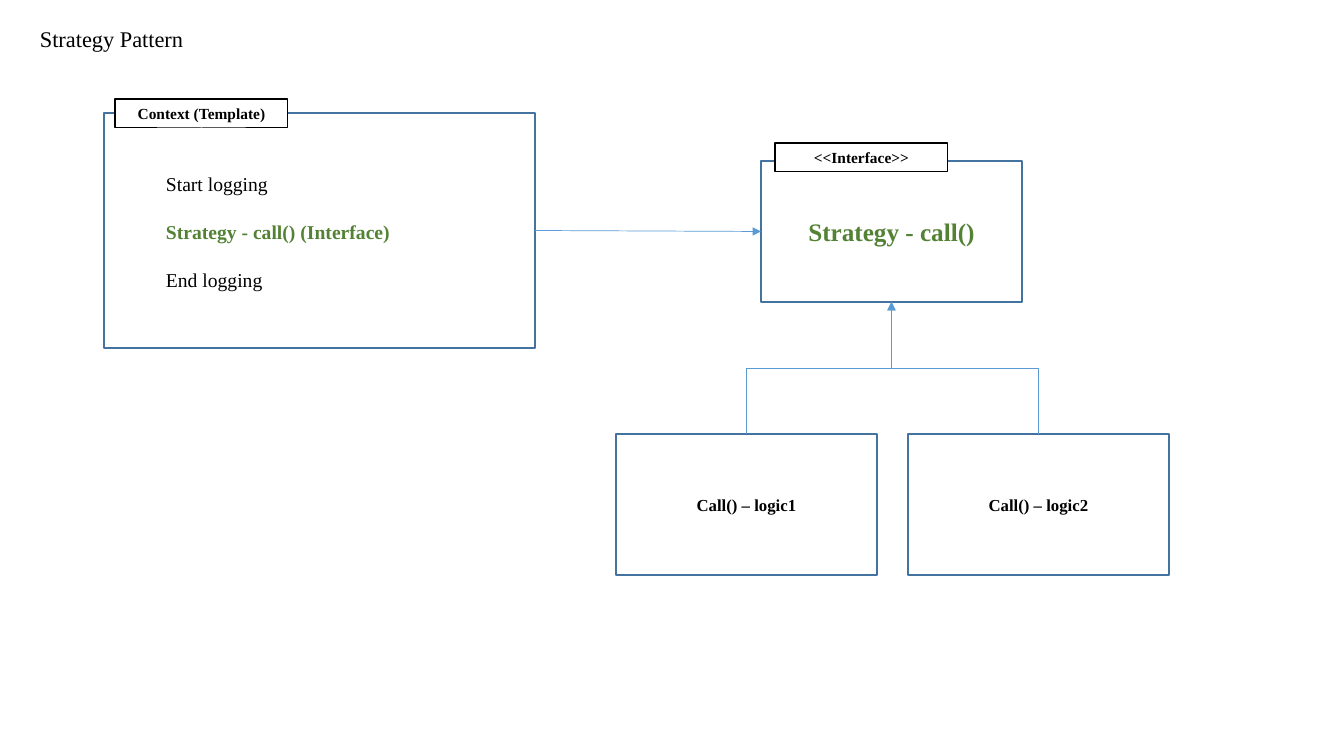
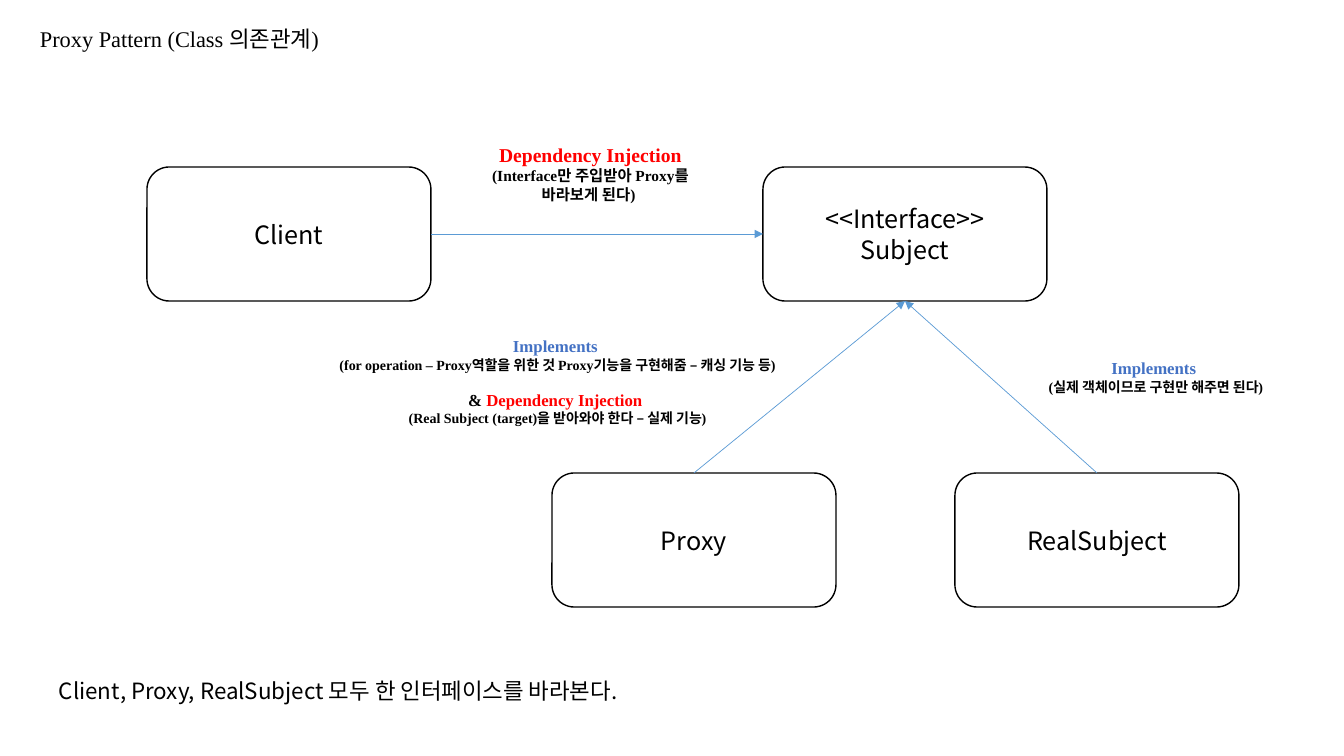
from lxml import etree
from pptx import Presentation
from pptx.dml.color import RGBColor
from pptx.enum.shapes import MSO_CONNECTOR as CONN, MSO_SHAPE as SHAPE
from pptx.enum.text import MSO_ANCHOR as ANCHOR, PP_ALIGN as ALIGN
from pptx.oxml.ns import qn
from pptx.util import Pt

EMU_PER_PX = 12192000 / 1344

BLACK = RGBColor(0x00, 0x00, 0x00)
WHITE = RGBColor(0xFF, 0xFF, 0xFF)
RED = RGBColor(0xFF, 0x00, 0x00)
GREEN = RGBColor(0x54, 0x82, 0x35)
BLUE = RGBColor(0x44, 0x72, 0xC4)
FRAME = RGBColor(0x43, 0x73, 0x9E)
ARROW = RGBColor(0x5B, 0x9B, 0xD5)

SERIF = "Times New Roman"
SANS = "Noto Sans CJK KR"

TOP, LEFT, BOTTOM, RIGHT = range(4)


def px(n):
    return round(n * EMU_PER_PX)


# Text: a paragraph is a list of runs, a run is (text, size, colour, bold)
def write(tf, paragraphs, font=SERIF, align=ALIGN.CENTER, gaps=None):
    """Fill a text frame; gaps maps a paragraph index to its space before."""
    tf.word_wrap = True
    for i, runs in enumerate(paragraphs):
        p = tf.add_paragraph() if i else tf.paragraphs[0]
        p.alignment = align
        if gaps and i in gaps:
            p.space_before = Pt(gaps[i])
        for text, size, color, bold in runs:
            r = p.add_run()
            r.text = text
            r.font.name, r.font.size = font, Pt(size)
            r.font.color.rgb, r.font.bold = color, bold
            etree.SubElement(r.font._element, qn("a:ea"), typeface=SANS)


def text_box(s, box, paragraphs, **style):
    sp = s.shapes.add_textbox(*map(px, box))
    write(sp.text_frame, paragraphs, **style)
    return sp


def outline(s, kind, box, color, width=1, fill=None):
    sp = s.shapes.add_shape(kind, *map(px, box))
    sp.shadow.inherit = False
    if fill is None:
        sp.fill.background()
    else:
        sp.fill.solid()
        sp.fill.fore_color.rgb = fill
    sp.line.color.rgb, sp.line.width = color, Pt(width)
    return sp


# Arrows
def style_arrow(c):
    c.line.color.rgb, c.line.width = ARROW, Pt(0.5)
    etree.SubElement(c.line._get_or_add_ln(), qn("a:tailEnd"), type="triangle")
    etree.SubElement(c._element.spPr, qn("a:effectLst"))


def arrow(s, start, start_side, end, end_side):
    c = s.shapes.add_connector(CONN.STRAIGHT, 0, 0, 0, 0)
    c.begin_connect(start, start_side)
    c.end_connect(end, end_side)
    style_arrow(c)


def elbow_up(s, lower, upper):
    """Bent arrow from the top of one box to the bottom of another."""
    x0, y0 = lower.left + lower.width // 2, lower.top
    x1, y1 = upper.left + upper.width // 2, upper.top + upper.height
    cx, cy, run, rise = (x0 + x1) // 2, (y0 + y1) // 2, x1 - x0, y0 - y1
    c = s.shapes.add_connector(CONN.ELBOW, cx - rise // 2, cy - run // 2,
                               cx + rise // 2, cy + run // 2)
    c._element.spPr.find(qn("a:xfrm")).set("rot", "16200000")
    style_arrow(c)


# Parts of the slides
def new_slide(prs, title):
    s = prs.slides.add_slide(prs.slide_layouts[6])
    text_box(s, (30, 20, 497, 37), [[(title, 16, BLACK, False)]], align=ALIGN.LEFT)
    return s


def tab(s, x, y, name):
    sp = outline(s, SHAPE.RECTANGLE, (x, y, 173, 29), BLACK, 0.75, WHITE)
    write(sp.text_frame, [[(name, 11, BLACK, True)]])


def context_box(s, x, y):
    frame = outline(s, SHAPE.RECTANGLE, (x, y, 431, 235), FRAME)
    tab(s, x + 11, y - 14, "Context (Template)")
    steps = [("Start logging", 14, BLACK, False),
             ("Strategy - call() (Interface)", 14, GREEN, True),
             ("End logging", 14, BLACK, False)]
    text_box(s, (x + 52, y + 54, 283, 129), [[step] for step in steps],
             align=ALIGN.LEFT, gaps={1: 17.5, 2: 17.5})
    return frame


def class_box(s, x, y, label, label_w, label_h):
    w, h = 261, 141
    frame = outline(s, SHAPE.RECTANGLE, (x, y, w, h), FRAME)
    text_box(s, (x + (w - label_w) / 2, y + (h - label_h) / 2, label_w, label_h),
             [[label]])
    return frame


def role_box(s, x, y, *lines):
    sp = outline(s, SHAPE.ROUNDED_RECTANGLE, (x, y, 284, 134), BLACK)
    sp.text_frame.vertical_anchor = ANCHOR.MIDDLE
    write(sp.text_frame, [[(line, 18, BLACK, False)] for line in lines], font=SANS)
    return sp


# Slides
def strategy_slide(prs):
    s = new_slide(prs, "Strategy Pattern")
    context = context_box(s, 104, 113)
    interface = class_box(s, 761, 161, ("Strategy - call()", 18, GREEN, True), 188, 40)
    tab(s, 775, 143, "<<Interface>>")
    arrow(s, context, RIGHT, interface, LEFT)
    for i in range(2):
        logic = class_box(s, 616 + 292 * i, 434,
                          (f"Call() – logic{i + 1}", 12, BLACK, True), 138, 30)
        elbow_up(s, logic, interface)


def proxy_slide(prs):
    s = new_slide(prs, "Proxy Pattern (Class 의존관계)")
    upper, lower = 167, 473
    client = role_box(s, 147, upper, "Client")
    subject = role_box(s, 763, upper, "<<Interface>>", "Subject")
    proxy = role_box(s, 552, lower, "Proxy")
    real = role_box(s, 955, lower, "RealSubject")
    arrow(s, client, RIGHT, subject, LEFT)
    arrow(s, proxy, TOP, subject, BOTTOM)
    arrow(s, real, TOP, subject, BOTTOM)

    # Notes beside the arrows
    implements = [("Implements ", 12, BLUE, True)]
    text_box(s, (1019, 353, 274, 49), [
        implements,
        [("(실제 객체이므로 구현만 해주면 된다)", 10, BLACK, True)]])
    text_box(s, (468, 138, 245, 72), [
        [("Dependency Injection", 14, RED, True)],
        [("(Interface만 주입받아 Proxy를 바라보게 된다) ", 11, BLACK, True)]])
    text_box(s, (315, 331, 485, 102), [
        implements,
        [("(for operation – Proxy역할을 위한 것 Proxy기능을 구현해줌 – 캐싱 기능 등)",
          10, BLACK, True)],
        [("& ", 12, BLACK, True), ("Dependency Injection ", 12, RED, True)],
        [("(Real Subject (target)을 받아와야 한다 – 실제 기능)", 10, BLACK, True)],
    ], gaps={2: 12})

    # Conclusion
    text_box(s, (49, 672, 1006, 37),
             [[("Client, Proxy, RealSubject 모두 한 인터페이스를 바라본다.", 16, BLACK, False)]],
             font=SANS, align=ALIGN.LEFT)


def main():
    prs = Presentation()
    prs.slide_width, prs.slide_height = px(1344), px(756)
    strategy_slide(prs)
    proxy_slide(prs)
    prs.save("out.pptx")


if __name__ == "__main__":
    main()
